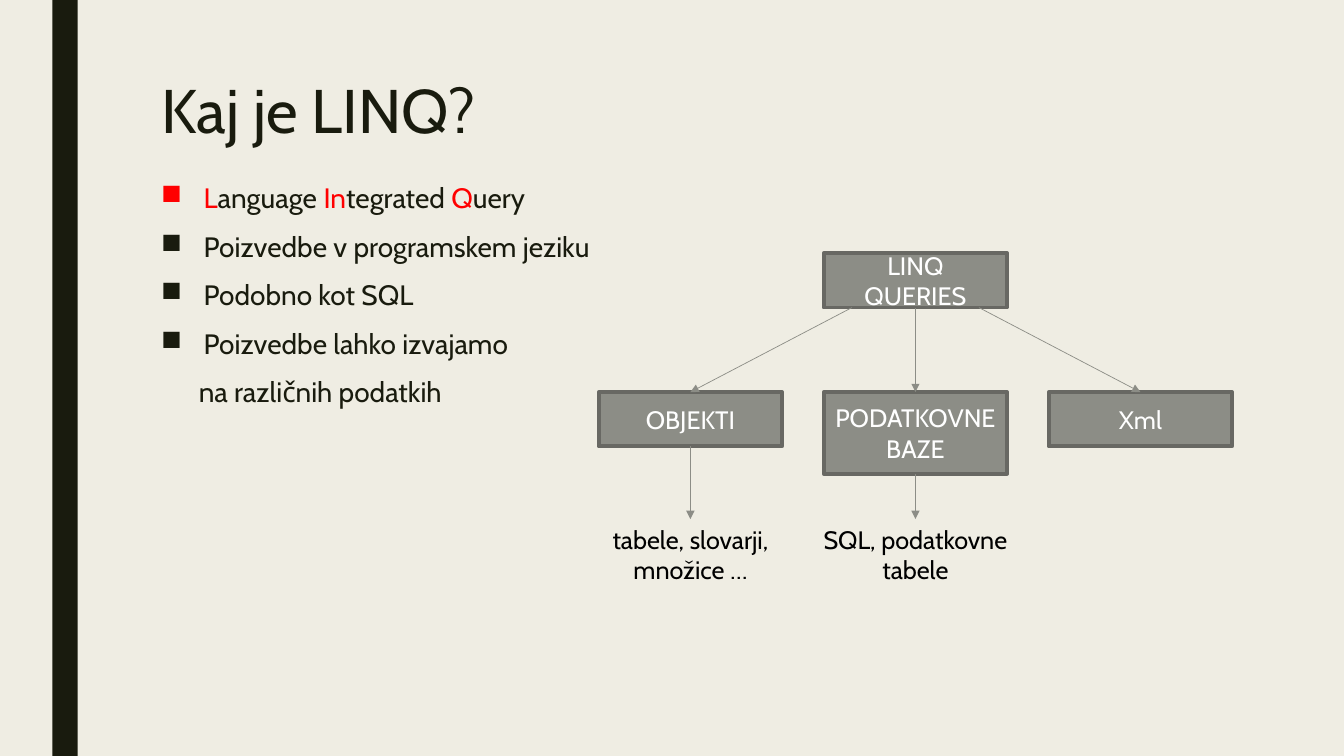
from lxml.etree import SubElement
from pptx import Presentation
from pptx.dml.color import RGBColor
from pptx.enum.shapes import MSO_CONNECTOR as Link, MSO_SHAPE as Shape
from pptx.enum.text import MSO_ANCHOR as Anchor, MSO_AUTO_SIZE as Fit, PP_ALIGN as Align
from pptx.oxml.ns import qn
from pptx.util import Cm, Pt

PAPER = RGBColor(0xEF, 0xED, 0xE3)
INK = RGBColor(0x19, 0x1B, 0x0E)
RED = RGBColor(0xFF, 0x00, 0x00)
GREY = RGBColor(0x8C, 0x8D, 0x86)
EDGE = RGBColor(0x68, 0x68, 0x63)
WHITE = RGBColor(0xFF, 0xFF, 0xFF)
BLACK = RGBColor(0x00, 0x00, 0x00)

LEFT, WIDE = 3.81, 26.67
MID, STEP = 23.07, 5.67
BOX_W, BOX_H, TALL = 4.62, 1.37, 2.06
ROOT_Y, KIND_Y, NOTE_Y = 6.38, 9.88, 13.08
INDENT = 1.07


class Page:
    font = "Cabin"

    def __init__(self, deck):
        self.slide = deck.slides.add_slide(deck.slide_layouts[5])
        self.shapes = self.slide.shapes
        fill = self.slide.background.fill
        fill.solid()
        fill.fore_color.rgb = PAPER

    def style(self, para, size, color, align=Align.LEFT):
        para.alignment = align
        para.font.name = self.font
        para.font.size = Pt(size)
        para.font.color.rgb = color

    def title(self, text):
        head = self.shapes.title
        head.left, head.top = Cm(LEFT), Cm(1.9)
        head.width, head.height = Cm(WIDE), Cm(4.11)
        frame = head.text_frame
        frame.text = text
        frame.auto_size = Fit.NONE
        frame.vertical_anchor = Anchor.TOP
        para = frame.paragraphs[0]
        para.line_spacing = 0.89
        self.style(para, 44, INK)

    def rect(self, x, y, w, h, fill, edge=None):
        rect = self.shapes.add_shape(Shape.RECTANGLE, Cm(x), Cm(y), Cm(w), Cm(h))
        rect.shadow.inherit = False
        rect.fill.solid()
        rect.fill.fore_color.rgb = fill
        if edge is None:
            rect.line.fill.background()
        else:
            rect.line.color.rgb = edge
            rect.line.width = Pt(2.75)
        return rect

    def box(self, text, mid, y, h=BOX_H):
        """Add a labelled box centred on mid."""
        frame = self.rect(mid - BOX_W / 2, y, BOX_W, h, GREY, EDGE).text_frame
        frame.text = text
        frame.word_wrap = True
        frame.vertical_anchor = Anchor.MIDDLE
        self.style(frame.paragraphs[0], 18, WHITE, Align.CENTER)

    def frame(self, x, y, w, h):
        frame = self.shapes.add_textbox(Cm(x), Cm(y), Cm(w), Cm(h)).text_frame
        frame.word_wrap = True
        return frame

    def note(self, text, mid, y, w):
        """Add a caption centred on mid."""
        frame = self.frame(mid - w / 2, y, w, 1.8)
        frame.text = text
        self.style(frame.paragraphs[0], 18, BLACK, Align.CENTER)

    def bullets(self, items, tail):
        """List items made of (text, color) runs, then a line with no bullet."""
        frame = self.frame(LEFT, 4.5, WIDE, 9.96)
        for num, runs in enumerate([*items, [(tail, INK)]]):
            para = frame.paragraphs[0] if num == 0 else frame.add_paragraph()
            para.line_spacing = 0.94
            para.space_before, para.space_after = Pt(10), Pt(2)
            props = para._p.get_or_add_pPr()
            if num < len(items):
                props.set("marL", str(Cm(INDENT)))
                props.set("indent", str(-Cm(INDENT)))
                SubElement(props, qn("a:buChar")).set("char", "■")
            else:
                props.set("marL", str(Cm(0.95)))
            self.style(para, 20, INK)
            for text, color in runs:
                run = para.add_run()
                run.text = text
                if color != INK:
                    run.font.color.rgb = color

    def arrow(self, x1, y1, x2, y2):
        arrow = self.shapes.add_connector(Link.STRAIGHT, Cm(x1), Cm(y1), Cm(x2), Cm(y2))
        arrow.line.color.rgb = GREY
        arrow.line.width = Pt(0.5)
        SubElement(arrow.line._get_or_add_ln(), qn("a:tailEnd")).set("type", "triangle")
        SubElement(arrow._element.spPr, qn("a:effectLst"))


def main():
    deck = Presentation()
    deck.slide_width, deck.slide_height = Cm(33.87), Cm(19.05)
    page = Page(deck)
    page.rect(1.32, 0, 0.64, 19.05, INK)
    page.title("Kaj je LINQ?")
    name = [("L", RED), ("anguage ", INK), ("In", RED), ("tegrated ", INK),
            ("Q", RED), ("uery", INK)]
    plain = ["Poizvedbe v programskem jeziku", "Podobno kot SQL",
             "Poizvedbe lahko izvajamo"]
    page.bullets([name] + [[(text, INK)] for text in plain], "na različnih podatkih")

    page.box("LINQ QUERIES", MID, ROOT_Y)
    kinds = [
        ("OBJEKTI", BOX_H, "tabele, slovarji, množice …", 5.46),
        ("PODATKOVNE BAZE", TALL, "SQL, podatkovne tabele", 5.18),
        ("Xml", BOX_H, None, 0),
    ]
    for side, (kind, high, note, wide) in enumerate(kinds, -1):
        mid = MID + side * STEP
        page.box(kind, mid, KIND_Y, high)
        page.arrow(MID + side * 1.6, ROOT_Y + BOX_H, mid, KIND_Y)
        if note:
            page.arrow(mid, KIND_Y + high, mid, NOTE_Y)
            page.note(note, mid, NOTE_Y, wide)
    deck.save("out.pptx")


if __name__ == "__main__":
    main()
